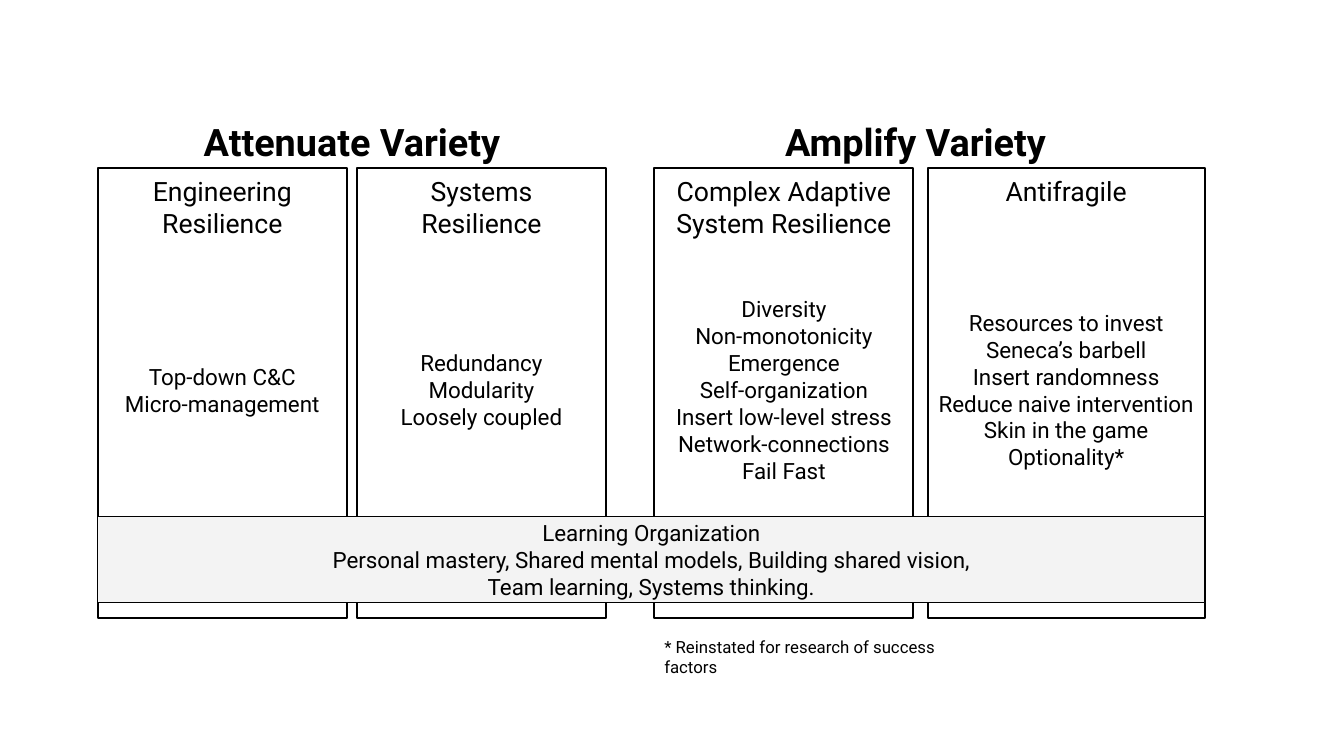
from dataclasses import dataclass

from pptx import Presentation
from pptx.dml.color import RGBColor
from pptx.enum.shapes import MSO_SHAPE
from pptx.enum.text import MSO_ANCHOR, MSO_AUTO_SIZE, PP_ALIGN
from pptx.util import Inches, Pt

RECTANGLE = MSO_SHAPE.RECTANGLE
TOP, MIDDLE = MSO_ANCHOR.TOP, MSO_ANCHOR.MIDDLE
LEFT, CENTER = PP_ALIGN.LEFT, PP_ALIGN.CENTER
FIXED = MSO_AUTO_SIZE.NONE
COMPARISON_LAYOUT = 4
HEADING_SLOTS = (1, 3)


@dataclass(frozen=True)
class Theme:
    """Colours, font and type sizes of the slide."""

    font: str = "Roboto"
    ink: RGBColor = RGBColor(0, 0, 0)
    panel: RGBColor = RGBColor(255, 255, 255)
    band: RGBColor = RGBColor(0xF3, 0xF3, 0xF3)
    heading: int = 27
    approach: int = 19
    body: int = 16
    note: int = 12
    panel_line: float = 1.5
    band_line: float = 0.75


THEME = Theme()
SLIDE_SIZE = (13.33, 7.5)
GRID_LEFT = 0.97
COLUMN_WIDTHS = (2.47, 2.47, 2.57, 2.75)
COLUMN_GAPS = (0.1, 0.48, 0.14)
HEADING_ROW = (1.08, 0.58)
PANEL_ROW = (1.67, 4.46)
PRACTICE_ROW = (2.87, 1.99)
BAND_ROW = (5.12, 0.86)
NOTE_ROW = (6.27, 0.5)
NOTE_WIDTH = 3.26
PANEL_INSETS = (0.14, 0.07)
EVEN_INSETS = (0.1, 0.1)
NOTE_INSETS = (0.1, 0.05)

HEADINGS = (("Attenuate Variety", 0, 1, 0), ("Amplify Variety", 2, 3, 0.28))
APPROACHES = (
    ("Engineering\vResilience", ("Top-down C&C", "Micro-management"), 0),
    ("Systems\vResilience", ("Redundancy", "Modularity", "Loosely coupled"), 0),
    (
        "Complex Adaptive\nSystem Resilience",
        (
            "Diversity",
            "Non-monotonicity",
            "Emergence",
            "Self-organization",
            "Insert low-level stress",
            "Network-connections",
            "Fail Fast",
        ),
        0,
    ),
    (
        "Antifragile",
        (
            "Resources to invest",
            "Seneca’s barbell",
            "Insert randomness",
            "Reduce naive intervention",
            "Skin in the game",
            "Optionality*",
        ),
        0.14,
    ),
)
LEARNING = (
    "Learning Organization\v"
    "Personal mastery, Shared mental models, Building shared vision,\n"
    "Team learning, Systems thinking."
)
FOOTNOTE = "* Reinstated for research of success factors"


def span(first, last, row, overhang=0, trim=0):
    """Return the box from one column to another on a row, in EMU."""
    left = GRID_LEFT + sum(COLUMN_WIDTHS[:first]) + sum(COLUMN_GAPS[:first])
    width = sum(COLUMN_WIDTHS[first:last + 1]) + sum(COLUMN_GAPS[first:last])
    top, height = row
    box = (left - overhang, top, width + 2 * overhang - trim, height)
    return [Inches(length) for length in box]


def write(holder, text, size, insets=EVEN_INSETS, anchor=TOP, align=CENTER, bold=False):
    """Fill a shape with text in the given format."""
    frame = holder.text_frame
    frame.text = text
    frame.word_wrap = True
    frame.auto_size = FIXED
    frame.vertical_anchor = anchor
    frame.margin_left = frame.margin_right = Inches(insets[0])
    frame.margin_top = frame.margin_bottom = Inches(insets[1])
    for paragraph in frame.paragraphs:
        paragraph.alignment = align
        paragraph.space_before = paragraph.space_after = Pt(0)
        for run in paragraph.runs:
            run.font.name = THEME.font
            run.font.size = Pt(size)
            run.font.bold = bold
            run.font.color.rgb = THEME.ink


def add_block(slide, box, fill, line_width):
    """Add an outlined rectangle."""
    block = slide.shapes.add_shape(RECTANGLE, *box)
    block.shadow.inherit = False
    block.fill.solid()
    block.fill.fore_color.rgb = fill
    block.line.color.rgb = THEME.ink
    block.line.width = Pt(line_width)
    return block


def add_headings(slide):
    """Place the group headings and remove the unused placeholders."""
    slots = {slot.placeholder_format.idx: slot for slot in slide.placeholders}
    for slot_id, (text, first, last, trim) in zip(HEADING_SLOTS, HEADINGS):
        heading = slots.pop(slot_id)
        box = span(first, last, HEADING_ROW, trim=trim)
        heading.left, heading.top, heading.width, heading.height = box
        write(heading, text, THEME.heading, bold=True)
    for unused in slots.values():
        unused.element.getparent().remove(unused.element)


def add_approach(slide, column, name, practices, overhang):
    """Add the panel of one resilience approach with its practices."""
    panel = add_block(slide, span(column, column, PANEL_ROW), THEME.panel, THEME.panel_line)
    write(panel, name, THEME.approach, insets=PANEL_INSETS)
    listing = slide.shapes.add_textbox(*span(column, column, PRACTICE_ROW, overhang))
    write(listing, "\n".join(practices), THEME.body, insets=PANEL_INSETS, anchor=MIDDLE)


def main():
    """Build and save the slide."""
    deck = Presentation()
    deck.slide_width, deck.slide_height = map(Inches, SLIDE_SIZE)
    slide = deck.slides.add_slide(deck.slide_layouts[COMPARISON_LAYOUT])

    add_headings(slide)
    for column, approach in enumerate(APPROACHES):
        add_approach(slide, column, *approach)

    band = add_block(slide, span(0, 3, BAND_ROW), THEME.band, THEME.band_line)
    write(band, LEARNING, THEME.body, anchor=MIDDLE)

    note_trim = COLUMN_WIDTHS[2] - NOTE_WIDTH
    footnote = slide.shapes.add_textbox(*span(2, 2, NOTE_ROW, trim=note_trim))
    write(footnote, FOOTNOTE, THEME.note, insets=NOTE_INSETS, align=LEFT)

    deck.save("out.pptx")


main()
